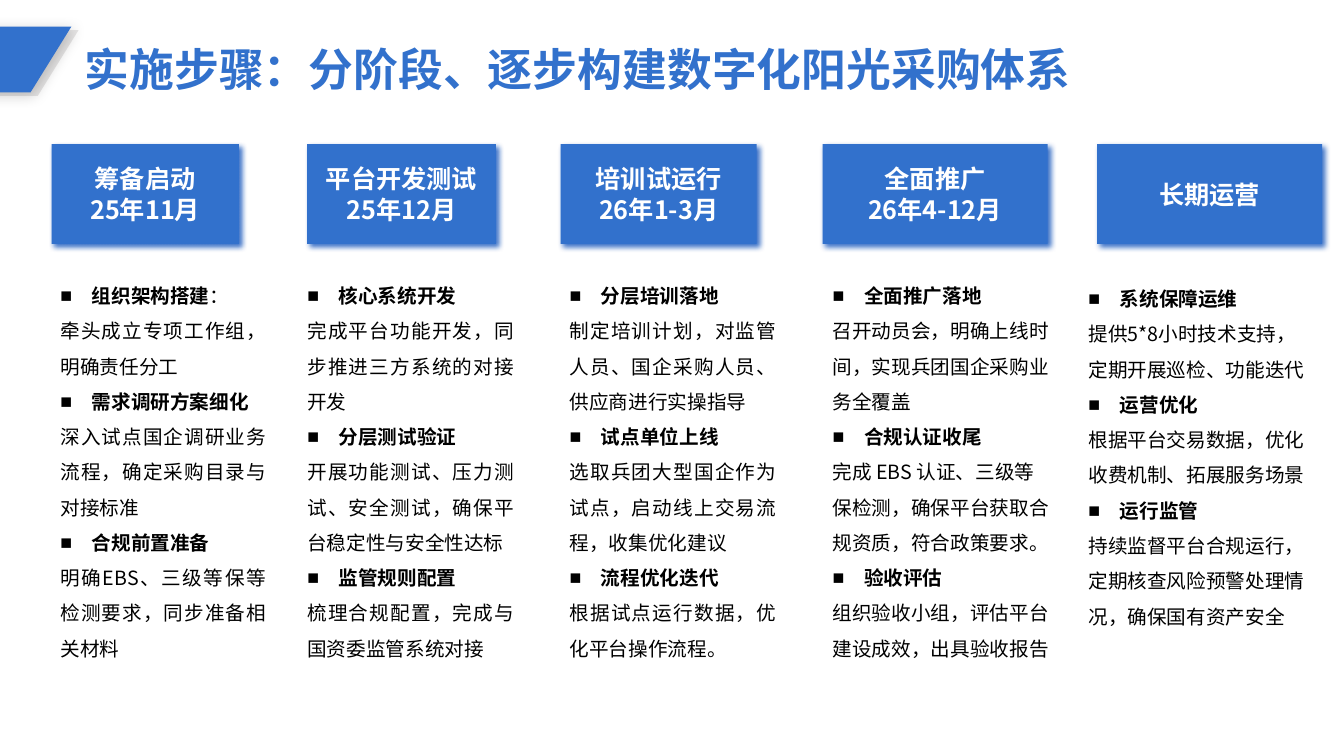
import pptx
import pptx.util
import pptx.dml.color
import pptx.enum.lang
import pptx.enum.shapes
import pptx.enum.text
import pptx.oxml
import pptx.oxml.ns
from lxml import etree

Cm = pptx.util.Cm
Pt = pptx.util.Pt
Align = pptx.enum.text.PP_ALIGN
Anchor = pptx.enum.text.MSO_ANCHOR
Shape = pptx.enum.shapes.MSO_SHAPE
qn = pptx.oxml.ns.qn

COLORS = {
    "blue": "3271CC",
    "glow": "094DB9",
    "grey": "E7E6E6",
    "black": "000000",
    "white": "FFFFFF",
}
FONT = "Noto Sans CJK SC"

STAGES = [
    (["筹备启动", "25年11月"], (1.3, 4.72), (1.27, 6.73, 5.69, Align.JUSTIFY), [
        ("组织架构搭建：", "牵头成立专项工作组，明确责任分工"),
        ("需求调研方案细化", "深入试点国企调研业务流程，确定采购目录与对接标准"),
        ("合规前置准备", "明确EBS、三级等保等检测要求，同步准备相关材料"),
    ]),
    (["平台开发测试", "25年12月"], (7.74, 4.76), (7.49, 6.73, 5.72, Align.JUSTIFY), [
        ("核心系统开发", "完成平台功能开发，同步推进三方系统的对接开发"),
        ("分层测试验证", "开展功能测试、压力测试、安全测试，确保平台稳定性与安全性达标"),
        ("监管规则配置", "梳理合规配置，完成与国资委监管系统对接"),
    ]),
    (["培训试运行", "26年1-3月"], (14.13, 4.94), (14.1, 6.73, 5.72, Align.JUSTIFY), [
        ("分层培训落地", "制定培训计划，对监管人员、国企采购人员、供应商进行实操指导"),
        ("试点单位上线", "选取兵团大型国企作为试点，启动线上交易流程，收集优化建议"),
        ("流程优化迭代", "根据试点运行数据，优化平台操作流程。"),
    ]),
    (["全面推广", "26年4-12月"], (20.73, 5.67), (20.73, 6.73, 6.07, Align.LEFT), [
        ("全面推广落地", "召开动员会，明确上线时间，实现兵团国企采购业务全覆盖"),
        ("合规认证收尾", "完成 EBS 认证、三级等保检测，确保平台获取合规资质，符合政策要求。"),
        ("验收评估", "组织验收小组，评估平台建设成效，出具验收报告"),
    ]),
    (["长期运营"], (27.65, 5.67), (27.18, 6.81, 6.07, Align.LEFT), [
        ("系统保障运维", "提供5*8小时技术支持，定期开展巡检、功能迭代"),
        ("运营优化", "根据平台交易数据，优化收费机制、拓展服务场景"),
        ("运行监管", "持续监督平台合规运行，定期核查风险预警处理情况，确保国有资产安全"),
    ]),
]


class StageSlide:
    def __init__(self, deck):
        self.slide = deck.slides.add_slide(deck.slide_layouts.get_by_name("Comparison"))
        self.list_slots = [slot for slot in self.slide.placeholders
                           if slot.placeholder_format.idx > 0]

    def place(self, shape, left, top, width, height):
        shape.left, shape.top = Cm(left), Cm(top)
        shape.width, shape.height = Cm(width), Cm(height)

    def prepare(self, shape, anchor):
        frame = shape.text_frame
        frame.word_wrap = True
        frame.auto_size = pptx.enum.text.MSO_AUTO_SIZE.NONE
        frame.vertical_anchor = anchor
        return frame

    def paragraph(self, frame, first, align):
        paragraph = frame.paragraphs[0] if first else frame.add_paragraph()
        paragraph.alignment = align
        paragraph.space_before = Pt(0)
        return paragraph

    def run(self, paragraph, words, size, color, bold):
        run = paragraph.add_run()
        run.text = words
        font = run.font
        font.size, font.bold, font.name = Pt(size), bold, FONT
        font.language_id = pptx.enum.lang.MSO_LANGUAGE_ID.SIMPLIFIED_CHINESE
        font.color.rgb = pptx.dml.color.RGBColor.from_string(COLORS[color])
        etree.SubElement(font._element, qn("a:ea"), typeface=FONT)

    def block(self, kind, bounds, color, shadow=None):
        block = self.slide.shapes.add_shape(kind, *map(Cm, bounds))
        block.fill.solid()
        block.fill.fore_color.rgb = pptx.dml.color.RGBColor.from_string(COLORS[color])
        block.line.fill.background()
        block.shadow.inherit = False
        if shadow:
            self.shadow(block, *shadow)
        return block

    def shadow(self, block, color, opacity, blur):
        effects = block._element.spPr.find(qn("a:effectLst"))
        outer = etree.SubElement(effects, qn("a:outerShdw"), blurRad=str(Pt(blur)),
                                 dist=str(Pt(3)), dir=str(45 * 60000),
                                 algn="tl", rotWithShape="0")
        tint = etree.SubElement(outer, qn("a:srgbClr"), val=COLORS[color])
        etree.SubElement(tint, qn("a:alpha"), val=str(opacity * 1000))

    def ribbon(self, left, top, color, shadow=None):
        ribbon = self.block(Shape.PARALLELOGRAM, (left, top, 3.5, 1.66), color, shadow)
        ribbon.adjustments[0] = 0.62

    def title(self, words):
        title = self.slide.shapes.title
        self.place(title, 1.88, 0.91, 31.5, 1.63)
        frame = self.prepare(title, Anchor.MIDDLE)
        self.run(self.paragraph(frame, True, Align.LEFT), words, 32, "blue", True)

    def stage_header(self, lines, left, width):
        header = self.block(Shape.RECTANGLE, (left, 3.63, width, 2.52), "blue",
                            ("glow", 78, 4))
        frame = self.prepare(header, Anchor.MIDDLE)
        for index, words in enumerate(lines):
            paragraph = self.paragraph(frame, index == 0, Align.CENTER)
            self.run(paragraph, words, 18, "white", True)

    def bullet(self, paragraph, shown):
        props = paragraph._p.get_or_add_pPr()
        indent = Cm(0.79) if shown else 0
        props.set("marL", str(indent))
        props.set("indent", str(-indent))
        if shown:
            etree.SubElement(props, qn("a:buFont"), typeface="Arial")
            etree.SubElement(props, qn("a:buChar"), char="■")
        else:
            etree.SubElement(props, qn("a:buNone"))

    def task_list(self, tasks, left, top, width, align):
        bounds = (left, top, width, 10.13)
        if self.list_slots:
            tasks_box = self.list_slots.pop(0)
            self.place(tasks_box, *bounds)
        else:
            tasks_box = self.slide.shapes.add_textbox(*map(Cm, bounds))
        frame = self.prepare(tasks_box, Anchor.TOP)
        for index, (heading, detail) in enumerate(tasks):
            name, colon, _ = heading.partition("：")
            head = self.paragraph(frame, index == 0, align)
            body = self.paragraph(frame, False, align)
            for paragraph, shown in ((head, True), (body, False)):
                paragraph.line_spacing = 1.5
                self.bullet(paragraph, shown)
            self.run(head, name, 14, "black", True)
            if colon:
                self.run(head, colon, 14, "black", False)
            self.run(body, detail, 14, "black", False)


def main():
    deck = pptx.Presentation()
    deck.slide_width, deck.slide_height = Cm(33.87), Cm(19.05)
    page = StageSlide(deck)
    page.ribbon(-1.52, 0.76, "grey")
    page.ribbon(-1.7, 0.67, "blue", ("black", 20, 10))
    page.title("实施步骤：分阶段、逐步构建数字化阳光采购体系")
    for header, header_span, list_layout, tasks in STAGES:
        page.stage_header(header, *header_span)
        page.task_list(tasks, *list_layout)
    deck.save("out.pptx")


if __name__ == "__main__":
    main()
